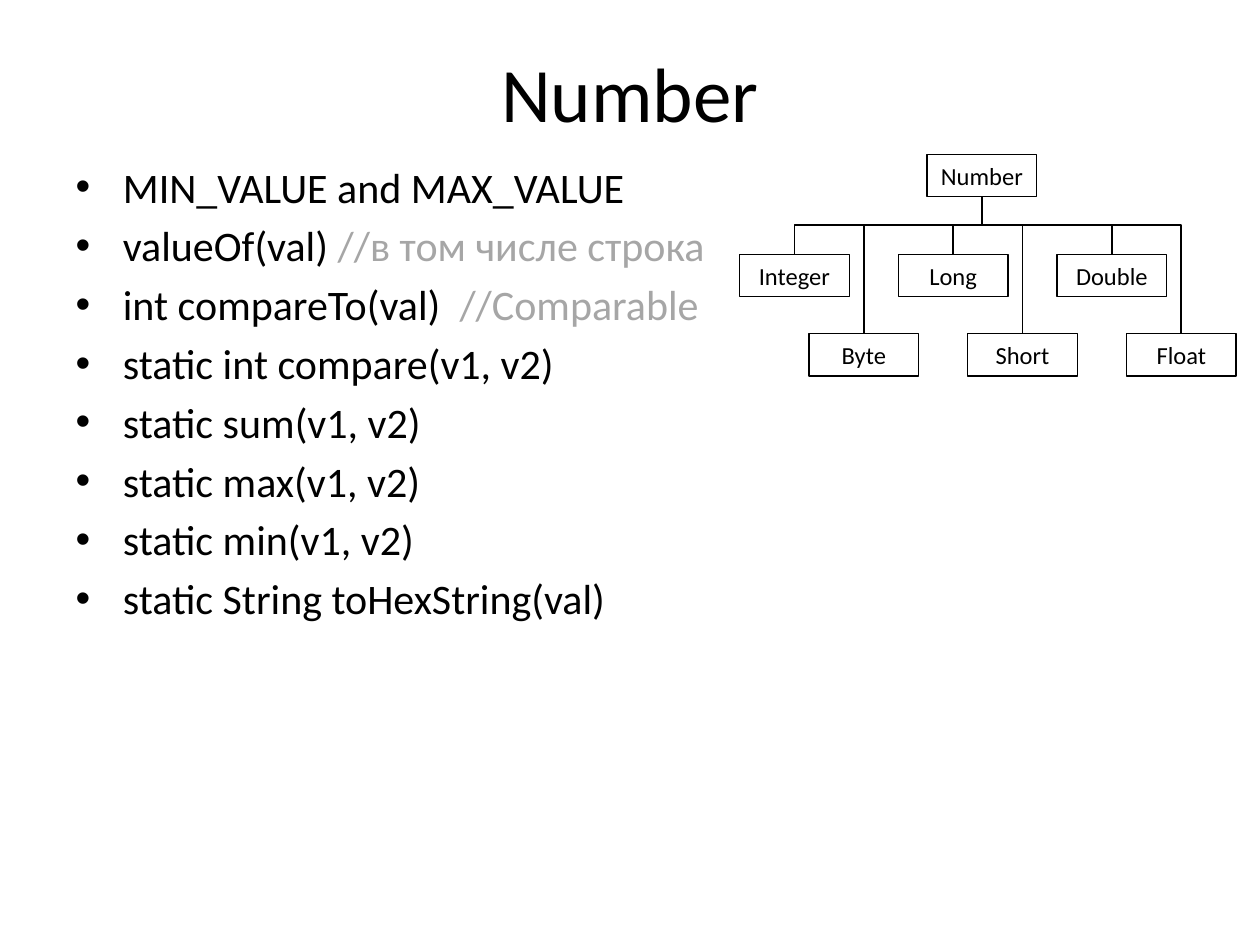
from lxml.etree import SubElement
from pptx import Presentation
from pptx.dml.color import RGBColor
from pptx.enum.shapes import MSO_CONNECTOR, MSO_SHAPE
from pptx.enum.text import MSO_ANCHOR, MSO_AUTO_SIZE, PP_ALIGN
from pptx.oxml.ns import qn
from pptx.util import Cm, Pt

BLACK, GREY = "000000", "A6A6A6"
METHODS = [
    ("MIN_VALUE and MAX_VALUE", ""),
    ("valueOf(val) ", "//в том числе строка"),
    ("int compareTo(val)  ", "//Comparable"),
    ("static int compare(v1, v2)", ""),
    ("static sum(v1, v2)", ""),
    ("static max(v1, v2)", ""),
    ("static min(v1, v2)", ""),
    ("static String toHexString(val)", ""),
]
# Rows of subclasses: (left, top) of the row in cm, names
SUBCLASSES = [
    ((0, 2.01), ["Integer", "Long", "Double"]),
    ((1.4, 3.61), ["Byte", "Short", "Float"]),
]
BOX_W, BOX_H = 2.21, 0.85
COLUMN_STEP = 3.2
ROOT_LEFT = 3.78
BUS_DROP = 0.57


def rgb(value):
    return RGBColor.from_string(value)


def add_text(p, text, size=24, color=BLACK, font="Calibri"):
    r = p.add_run()
    r.text = text
    r.font.size, r.font.name = Pt(size), font
    r.font.color.rgb = rgb(color)


def place(sp, left, top, width, height):
    sp.left, sp.top, sp.width, sp.height = map(Cm, (left, top, width, height))


def add_title(s, text, *box):
    sp = s.shapes.title
    place(sp, *box)
    tf = sp.text_frame
    tf.vertical_anchor = MSO_ANCHOR.MIDDLE
    p = tf.paragraphs[0]
    p.alignment = PP_ALIGN.CENTER
    add_text(p, text, size=44)


def add_methods(s, methods, *box):
    sp = s.placeholders[1]
    place(sp, *box)
    tf = sp.text_frame
    for i, (code, comment) in enumerate(methods):
        p = tf.add_paragraph() if i else tf.paragraphs[0]
        add_text(p, code)
        if comment:
            add_text(p, comment, color=GREY)


def add_class_box(shapes, name, left, top):
    sp = shapes.add_shape(MSO_SHAPE.RECTANGLE, *map(Cm, (left, top, BOX_W, BOX_H)))
    sp.shadow.inherit = False
    sp.fill.background()
    sp.line.color.rgb = rgb(BLACK)
    sp.line.width = Pt(0.75)
    tf = sp.text_frame
    tf.word_wrap = False
    tf.auto_size = MSO_AUTO_SIZE.SHAPE_TO_FIT_TEXT
    p = tf.paragraphs[0]
    p.alignment = PP_ALIGN.CENTER
    add_text(p, name, size=14)


def add_branch(shapes, x1, y1, x2, y2):
    """Elbow that leaves downwards: a turned preset, centred between its ends."""
    dx, dy = x2 - x1, y2 - y1
    cx, cy = (x1 + x2) / 2, (y1 + y2) / 2
    half = dy / 2 if dx < 0 else -dy / 2
    rise = abs(dx) / 2
    c = shapes.add_connector(MSO_CONNECTOR.ELBOW, *map(
        Cm, (cx - half, cy - rise, cx + half, cy + rise)))
    c.line.color.rgb = rgb(BLACK)
    c.line.width = Pt(1)
    spPr = c._element.spPr
    spPr.find(qn("a:xfrm")).set("rot", str((90 if dx < 0 else 270) * 60000))
    # Bend at the shared horizontal bar
    guides = spPr.find(qn("a:prstGeom")).find(qn("a:avLst"))
    SubElement(guides, qn("a:gd"), name="adj1",
               fmla=f"val {round(BUS_DROP / dy * 100000)}")
    SubElement(spPr, qn("a:effectLst"))


def add_class_tree(s, left, top):
    shapes = s.shapes.add_group_shape().shapes
    root_left = left + ROOT_LEFT
    add_class_box(shapes, "Number", root_left, top)
    for (row_left, row_top), names in SUBCLASSES:
        for i, name in enumerate(names):
            x, y = left + row_left + i * COLUMN_STEP, top + row_top
            add_class_box(shapes, name, x, y)
            add_branch(shapes, root_left + BOX_W / 2, top + BOX_H, x + BOX_W / 2, y)


def main():
    prs = Presentation()
    prs.slide_width, prs.slide_height = Cm(25.4), Cm(19.05)
    s = prs.slides.add_slide(prs.slide_layouts[1])
    add_title(s, "Number", 1.27, 0.76, 22.86, 2.16)
    add_methods(s, METHODS, 1.27, 3.12, 22.86, 14.2)
    add_class_tree(s, 14.91, 3.12)
    prs.save("out.pptx")


if __name__ == "__main__":
    main()
